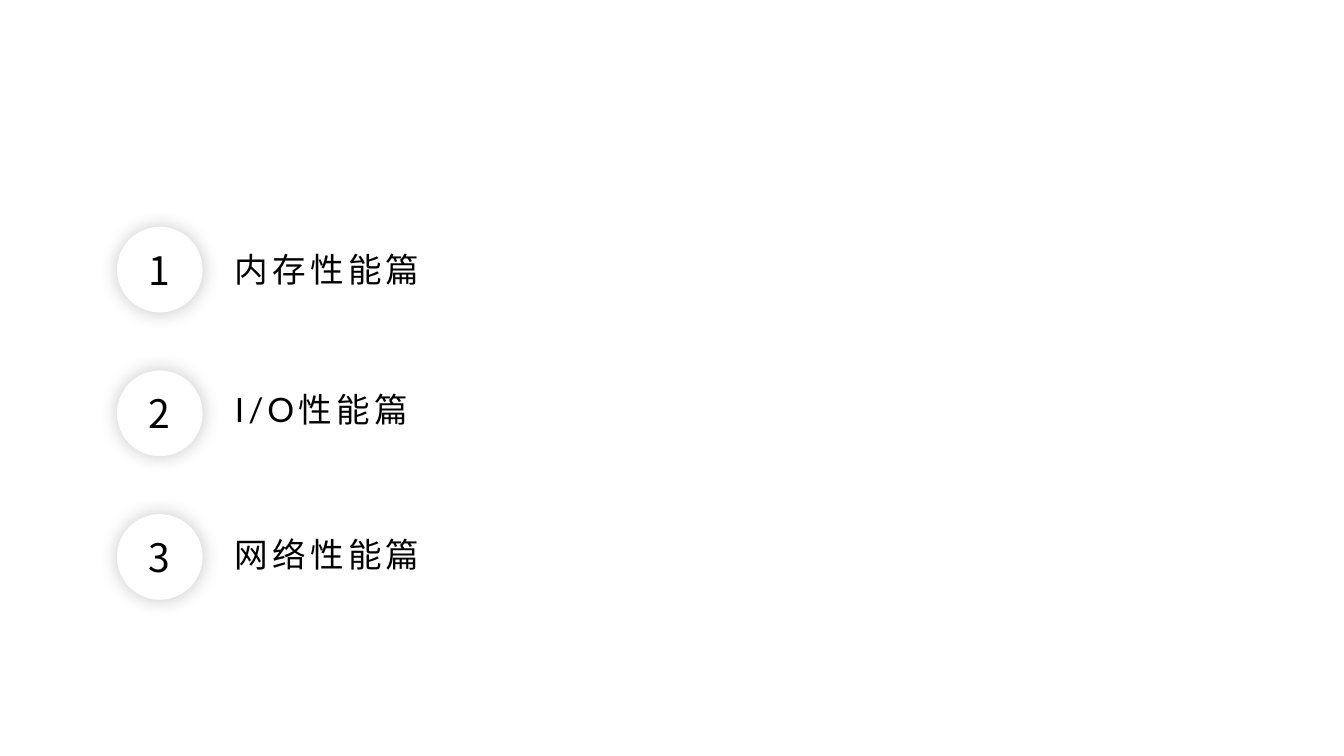
from dataclasses import dataclass

from lxml.etree import SubElement as Sub
from pptx import Presentation as Deck
from pptx.dml.color import RGBColor as Color
from pptx.enum.shapes import MSO_SHAPE as Shape
from pptx.enum.text import MSO_AUTO_SIZE as Fit, PP_ALIGN as Align
from pptx.oxml.ns import qn
from pptx.util import Inches, Pt


@dataclass(frozen=True)
class Theme:
    """Colours, fonts and type sizes of the slide."""
    paper: Color = Color(255, 255, 255)
    ink: Color = Color(0, 0, 0)
    latin: str = "Lato"
    asian: str = "Noto Sans CJK SC"
    digit: Pt = Pt(28)
    label: Pt = Pt(24)
    track: int = 300
    blur: Pt = Pt(14)
    shade: int = 22


class Page:
    """Draws on one slide in cells of a 160 by 90 grid."""

    def __init__(self, deck, theme):
        """Add a blank slide and measure its grid cell."""
        self.theme = theme
        self.slide = deck.slides.add_slide(deck.slide_layouts[6])
        self.cell = deck.slide_height / 90
        fill = self.slide.background.fill
        fill.solid()
        fill.fore_color.rgb = theme.paper

    def box(self, *cells):
        """Turn grid cells into lengths."""
        return [round(n * self.cell) for n in cells]

    def text(self, home, words, cells, look, align=Align.LEFT, track=0):
        """Write one line of text."""
        frame = home.shapes.add_textbox(*self.box(*cells)).text_frame
        frame.word_wrap = True
        frame.auto_size = Fit.SHAPE_TO_FIT_TEXT
        para = frame.paragraphs[0]
        para.alignment = align
        run = para.add_run()
        run.text = words
        for key, value in look.items():
            setattr(run.font, key, value)
        run.font.color.rgb = self.theme.ink
        props = run._r.get_or_add_rPr()
        Sub(props, qn("a:ea"), typeface=self.theme.asian)
        if track:
            props.set("spc", str(track))

    def disc(self, home, cells):
        """Draw a plain circle with a soft shadow."""
        disc = home.shapes.add_shape(Shape.OVAL, *self.box(*cells))
        disc.fill.solid()
        disc.fill.fore_color.rgb = self.theme.paper
        disc.line.fill.background()
        disc.shadow.inherit = False
        glow = Sub(disc._element.spPr.find(qn("a:effectLst")), qn("a:outerShdw"),
                   blurRad=str(self.theme.blur), dist="0", dir="0",
                   algn="ctr", rotWithShape="0")
        tint = Sub(glow, qn("a:srgbClr"), val=str(self.theme.ink))
        Sub(tint, qn("a:alpha"), val=str(self.theme.shade * 1000))

    def badge(self, digit, row):
        """Group a circle with its number."""
        group = self.slide.shapes.add_group_shape()
        self.disc(group, (13.92, row, 10.2, 10.2))
        look = {"name": self.theme.asian, "size": self.theme.digit}
        self.text(group, str(digit), (12.8, row + 1.68, 12.24, 6.84),
                  look, Align.CENTER)

    def label(self, words, row, width):
        """Write a chapter name beside its badge."""
        look = {"name": self.theme.latin, "size": self.theme.label}
        self.text(self.slide, words, (26.76, row, width, 6), look,
                  track=self.theme.track)


def main():
    """Build the slide and save it."""
    deck = Deck()
    deck.slide_width, deck.slide_height = Inches(13.33), Inches(7.5)
    page = Page(deck, Theme())
    parts = [("内存性能篇", 2.04, 98), ("I/O性能篇", 1.62, 100),
             ("网络性能篇", 1.8, 100)]
    for index, (words, drop, width) in enumerate(parts):
        row = 27 + 17.1 * index
        page.badge(index + 1, row)
        page.label(words, row + drop, width)
    deck.save("out.pptx")


if __name__ == "__main__":
    main()
